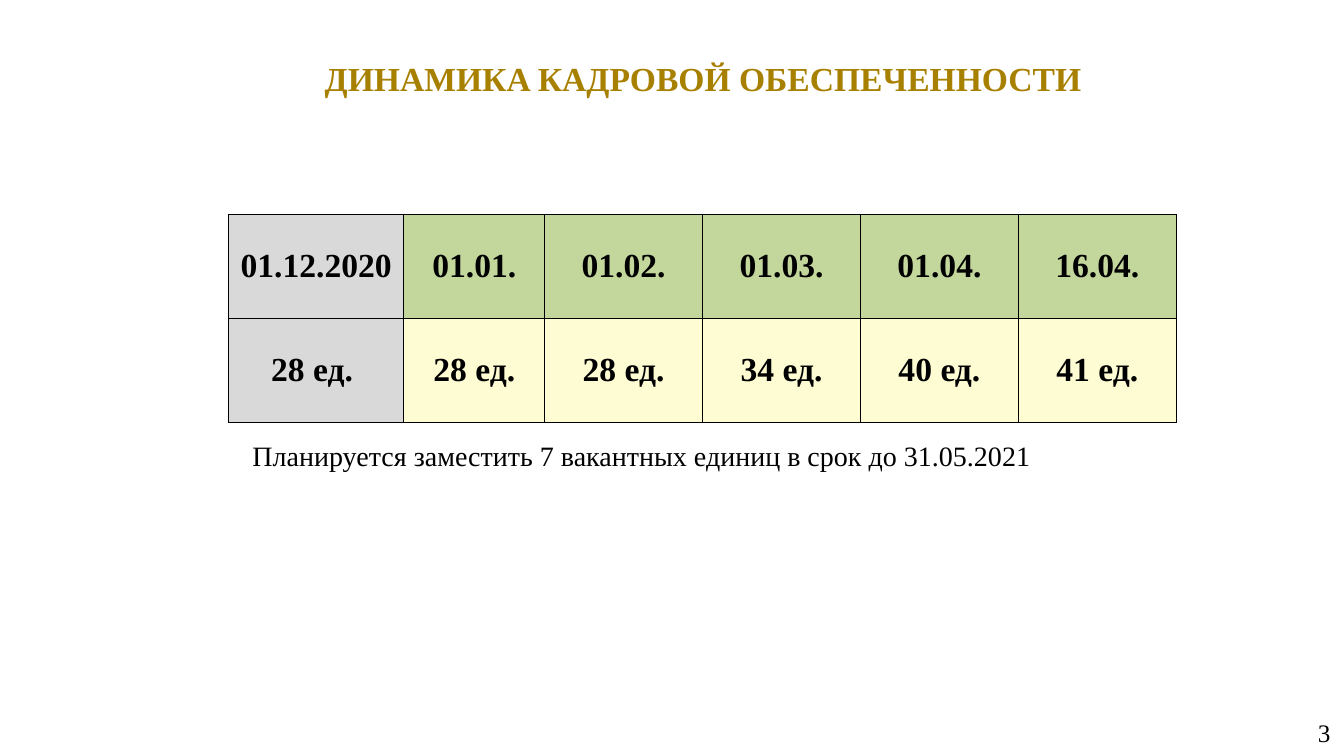
"""Build the staffing dynamics slide."""
from lxml.etree import SubElement
from pptx import Presentation
from pptx.dml.color import RGBColor
from pptx.enum.text import MSO_ANCHOR, PP_ALIGN
from pptx.oxml.ns import qn
from pptx.util import Pt

FONT = "Times New Roman"
GOLD = RGBColor(0xA8, 0x80, 0x00)
BLACK = RGBColor(0, 0, 0)
WHITE = RGBColor(0xFF, 0xFF, 0xFF)
GREY = RGBColor(0xD9, 0xD9, 0xD9)
GREEN = RGBColor(0xC3, 0xD6, 0x9B)
CREAM = RGBColor(0xFD, 0xFC, 0xD3)

TITLE = [("ДИНАМИКА", 24), (" ", 20), ("КАДРОВОЙ ОБЕСПЕЧЕННОСТИ", 24)]
NOTE = [("Планируется заместить 7 вакантных единиц в срок до 31.05.2021", 20)]
PAGE = [("3", 18)]
STAFF = [
    ("01.12.2020", "28 ед. "),
    ("01.01.", "28 ед."),
    ("01.02.", "28 ед."),
    ("01.03.", "34 ед."),
    ("01.04.", "40 ед."),
    ("16.04.", "41 ед."),
]
WIDTHS = [125.3, 100.6] + [112.8] * 4
ROW = 74.3


def write(frame, runs, color, bold, align):
    para = frame.paragraphs[0]
    para.alignment = align
    for text, size in runs:
        run = para.add_run()
        run.text = text
        font = run.font
        font.name, font.size, font.bold = FONT, Pt(size), bold
        font.color.rgb = color


def add_text(slide, place, runs, color=BLACK, bold=False,
             align=PP_ALIGN.CENTER, anchor=MSO_ANCHOR.MIDDLE):
    frame = slide.shapes.add_textbox(*map(Pt, place)).text_frame
    frame.word_wrap = True
    frame.vertical_anchor = anchor
    frame.margin_left = frame.margin_right = Pt(9.6)
    frame.margin_top = frame.margin_bottom = Pt(4.8)
    write(frame, runs, color, bold, align)


def add_edges(cell):
    props = cell._tc.get_or_add_tcPr()
    for spot, side in enumerate(("lnL", "lnR", "lnT", "lnB")):
        line = props.makeelement(qn(f"a:{side}"), {"w": str(Pt(1))})
        fill = SubElement(line, qn("a:solidFill"))
        SubElement(fill, qn("a:srgbClr"), val=str(BLACK))
        props.insert(spot, line)


def add_staff(slide):
    place = (163.2, 153.2, sum(WIDTHS), 2 * ROW)
    table = slide.shapes.add_table(2, len(STAFF), *map(Pt, place)).table
    table.first_row = table.horz_banding = False
    for row in table.rows:
        row.height = Pt(ROW)
    for col, pair in enumerate(STAFF):
        table.columns[col].width = Pt(WIDTHS[col])
        fills = (GREEN, CREAM) if col else (GREY, GREY)
        for row, text in enumerate(pair):
            cell = table.cell(row, col)
            cell.vertical_anchor = MSO_ANCHOR.MIDDLE
            cell.fill.solid()
            cell.fill.fore_color.rgb = fills[row]
            write(cell.text_frame, [(text, 24)], BLACK, True, PP_ALIGN.CENTER)
            add_edges(cell)


def main():
    deck = Presentation()
    deck.slide_width, deck.slide_height = Pt(960), Pt(540)
    slide = deck.slides.add_slide(deck.slide_layouts[6])
    slide.background.fill.solid()
    slide.background.fill.fore_color.rgb = WHITE
    add_text(slide, (118.8, 36.7, 766.8, 38.9), TITLE, GOLD, True,
             anchor=MSO_ANCHOR.TOP)
    add_staff(slide)
    add_text(slide, (45.4, 298, 825.8, 54.7), NOTE)
    add_text(slide, (736, 509, 224, 28.8), PAGE, align=PP_ALIGN.RIGHT)
    deck.save("out.pptx")


if __name__ == "__main__":
    main()
